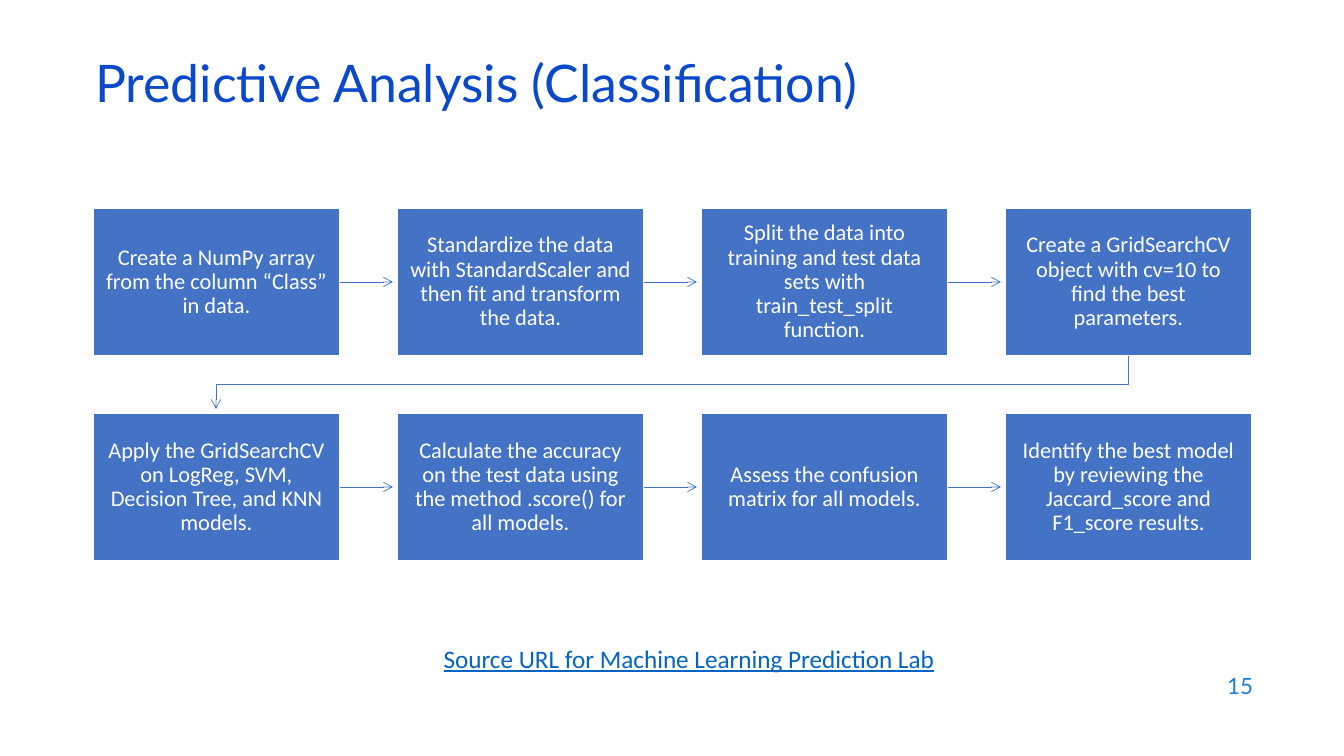
from collections import namedtuple

from lxml.etree import SubElement
from pptx import Presentation
from pptx.dml.color import RGBColor
from pptx.enum.shapes import MSO_CONNECTOR, MSO_SHAPE
from pptx.enum.text import MSO_ANCHOR, MSO_AUTO_SIZE, PP_ALIGN
from pptx.oxml.ns import qn
from pptx.util import Emu, Pt

Box = namedtuple("Box", "left top width height")

PAGE_WIDTH, PAGE_HEIGHT = 1344, 756
SCALE = 12192000 / PAGE_WIDTH

TITLE_BLUE = RGBColor(0x0B, 0x49, 0xCB)
STEP_BLUE = RGBColor(0x44, 0x72, 0xC4)
LINK_BLUE = RGBColor(0x05, 0x63, 0xC1)
NUMBER_BLUE = RGBColor(0x1C, 0x7D, 0xDB)
WHITE = RGBColor(0xFF, 0xFF, 0xFF)

COLUMNS = 4
STEP_WIDTH, STEP_HEIGHT = 247, 148
COLUMN_GAP, ROW_GAP = 57, 57
ARROW_CLEARANCE = 4
STEP_INSET = 12

STEPS = [
    "Create a NumPy array from the column “Class” in data.",
    "Standardize the data with StandardScaler and then fit and transform the data.",
    "Split the data into training and test data sets with train_test_split function.",
    "Create a GridSearchCV object with cv=10 to find the best parameters.",
    "Apply the GridSearchCV on LogReg, SVM, Decision Tree, and KNN models.",
    "Calculate the accuracy on the test data using the method .score() for all models.",
    "Assess the confusion matrix for all models.",
    "Identify the best model by reviewing the Jaccard_score and F1_score results.",
]


def px(length):
    """Turn a length in px into EMU."""
    return Emu(round(length * SCALE))


def place(shape, box):
    """Move a shape to the given box."""
    shape.left, shape.top, shape.width, shape.height = map(px, box)


def write(shape, text, font_name, size, color, align, anchor):
    """Put one formatted paragraph into a shape and return the paragraph."""
    frame = shape.text_frame
    frame.text = text
    frame.word_wrap = True
    frame.auto_size = MSO_AUTO_SIZE.NONE
    frame.vertical_anchor = anchor
    para = frame.paragraphs[0]
    para.alignment = align
    para.space_before = Pt(0)
    font = para.runs[0].font
    font.name = font_name
    font.size = Pt(size)
    font.color.rgb = color
    return para


def style_arrow(line_shape):
    """Give a connector or outline a thin blue line with an open arrowhead."""
    line_shape.line.color.rgb = STEP_BLUE
    line_shape.line.width = Pt(0.5)
    properties = line_shape.element.spPr
    SubElement(properties.find(qn("a:ln")), qn("a:tailEnd"), type="arrow")
    SubElement(properties, qn("a:effectLst"))


def add_title(page, box):
    """Fill the title placeholder."""
    place(page.shapes.title, box)
    para = write(page.shapes.title, "Predictive Analysis (Classification)", "Lato", 37,
                 TITLE_BLUE, PP_ALIGN.LEFT, MSO_ANCHOR.MIDDLE)
    para.line_spacing = 0.7


def add_step(page, box, text):
    """Draw one step of the process."""
    step = page.shapes.add_shape(MSO_SHAPE.RECTANGLE, *map(px, box))
    step.shadow.inherit = False
    step.fill.solid()
    step.fill.fore_color.rgb = STEP_BLUE
    step.line.color.rgb = WHITE
    step.line.width = Pt(1)
    frame = step.text_frame
    frame.margin_left = frame.margin_right = px(STEP_INSET)
    frame.margin_top = frame.margin_bottom = px(STEP_INSET)
    para = write(step, text, "Calibri", 16, WHITE, PP_ALIGN.CENTER, MSO_ANCHOR.MIDDLE)
    para.line_spacing = 0.9
    return step


def add_step_arrow(page, step, box):
    """Draw the arrow from a step towards its right-hand neighbour."""
    right, middle = box.left + box.width, box.top + box.height // 2
    tip = right + COLUMN_GAP - ARROW_CLEARANCE
    arrow = page.shapes.add_connector(MSO_CONNECTOR.STRAIGHT, px(right), px(middle),
                                      px(tip), px(middle))
    arrow.begin_connect(step, 3)
    style_arrow(arrow)


def add_row_arrow(page, last, first):
    """Draw the bent arrow from the last step of a row to the first of the next."""
    start, end = last.left + last.width // 2, first.left + first.width // 2
    bottom = last.top + last.height
    turn = bottom + ROW_GAP // 2
    builder = page.shapes.build_freeform(start, bottom, scale=SCALE)
    builder.add_line_segments(
        [(start, turn), (end, turn), (end, first.top - ARROW_CLEARANCE)], close=False)
    arrow = builder.convert_to_shape()
    arrow.fill.background()
    style_arrow(arrow)


def add_process(page, box):
    """Lay the steps out in rows and join them with arrows."""
    cells = [
        Box(box.left + index % COLUMNS * (STEP_WIDTH + COLUMN_GAP),
            box.top + index // COLUMNS * (STEP_HEIGHT + ROW_GAP),
            STEP_WIDTH, STEP_HEIGHT)
        for index in range(len(STEPS))
    ]
    for index, (cell, text) in enumerate(zip(cells, STEPS)):
        step = add_step(page, cell, text)
        if (index + 1) % COLUMNS:
            add_step_arrow(page, step, cell)
        elif index + 1 < len(cells):
            add_row_arrow(page, cell, cells[index + 1])


def add_source_line(page, box):
    """Fill the body placeholder with the underlined source line."""
    body = page.placeholders[1]
    place(body, box)
    para = write(body, "Source URL for Machine Learning Prediction Lab", "Calibri", 18,
                 LINK_BLUE, PP_ALIGN.CENTER, MSO_ANCHOR.TOP)
    para.runs[0].font.underline = True
    properties = para._p.get_or_add_pPr()
    properties.set("marL", "0")
    properties.set("indent", "0")
    SubElement(properties, qn("a:buNone"))


def add_page_number(page, box):
    """Write the page number."""
    number = page.shapes.add_textbox(*map(px, box))
    write(number, "15", "Lato", 16, NUMBER_BLUE, PP_ALIGN.RIGHT, MSO_ANCHOR.MIDDLE)


def main():
    """Build the deck with its single page."""
    deck = Presentation()
    deck.slide_width, deck.slide_height = px(PAGE_WIDTH), px(PAGE_HEIGHT)
    page = deck.slides.add_slide(deck.slide_layouts[1])
    add_title(page, Box(85, 59, 1159, 60))
    add_process(page, Box(93, 208, 1159, 353))
    add_source_line(page, Box(290, 638, 798, 78))
    add_page_number(page, Box(961, 664, 302, 44))
    deck.save("out.pptx")


if __name__ == "__main__":
    main()
